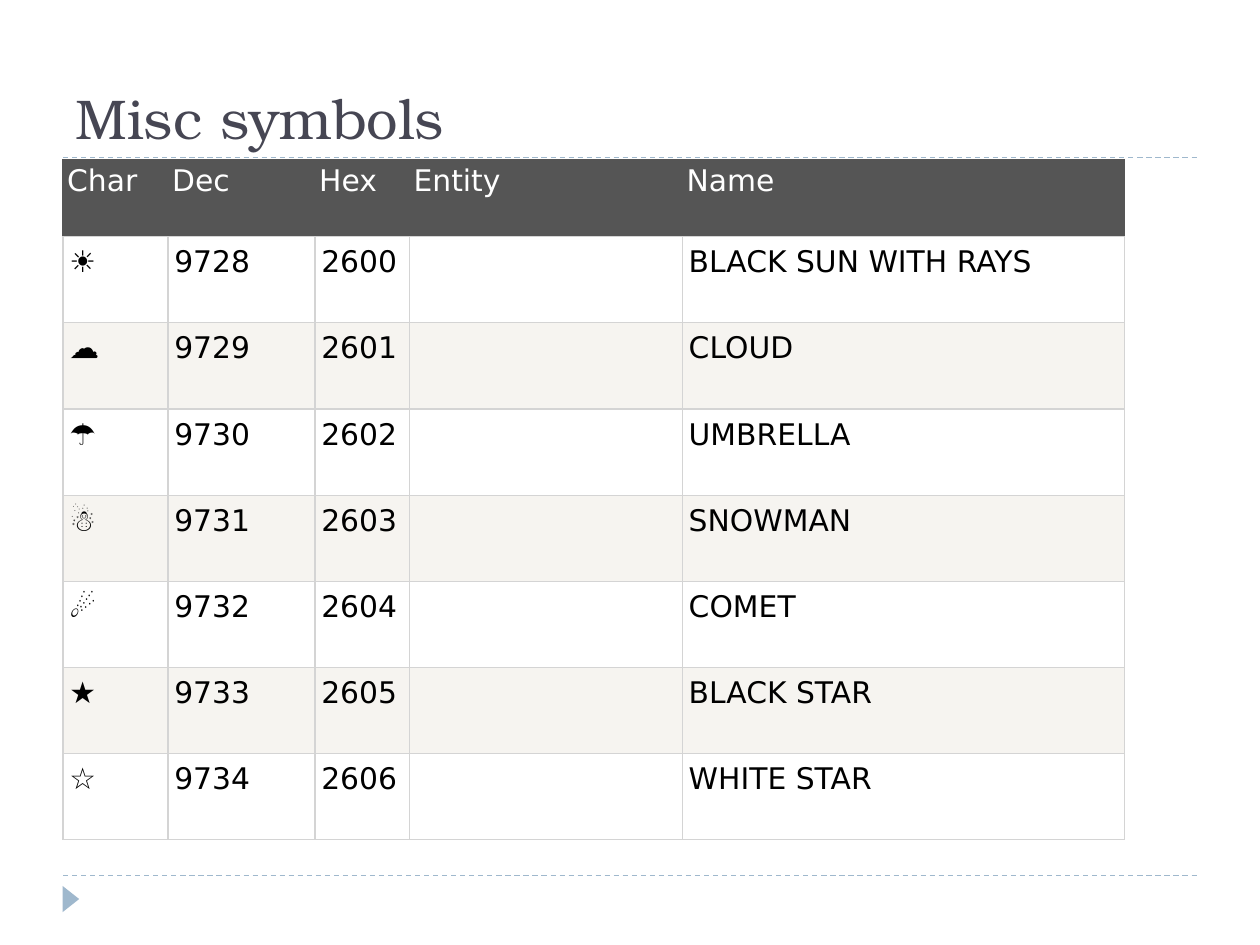
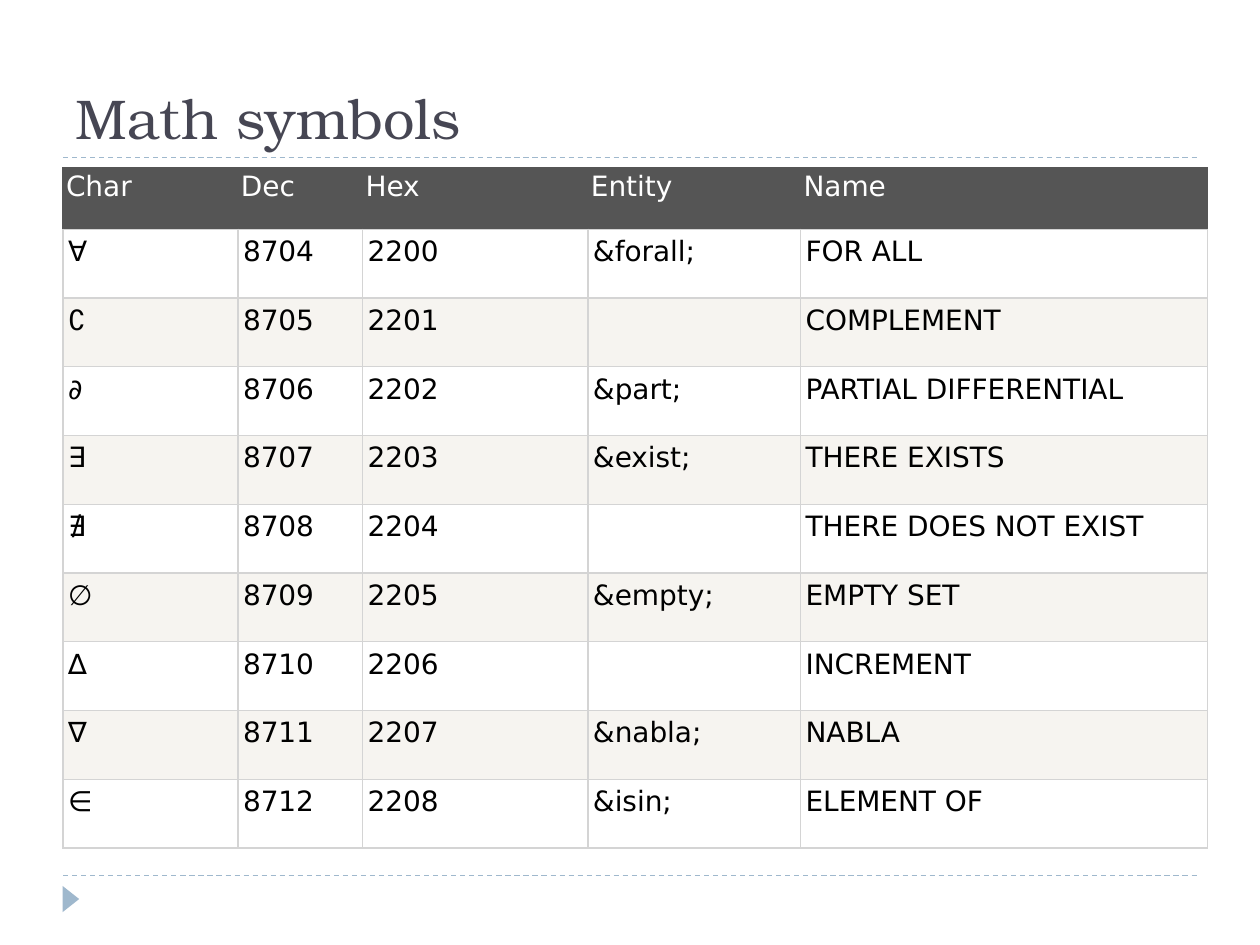
from lxml.etree import SubElement
from pptx import Presentation
from pptx.dml.color import RGBColor
from pptx.enum.dml import MSO_LINE
from pptx.enum.shapes import MSO_CONNECTOR, MSO_SHAPE
from pptx.enum.text import MSO_ANCHOR, MSO_AUTO_SIZE, PP_ALIGN
from pptx.oxml.ns import qn
from pptx.util import Pt

COLORS = {
    "title": "464653",
    "accent": "9FB8CD",
    "header": "555555",
    "header_text": "FFFFFF",
    "text": "000000",
    "row": "FFFFFF",
    "alternate_row": "F6F4F0",
    "grid": "D4D4D4",
}
TITLE_FONT = "TeX Gyre Bonum"
TABLE_FONT = "DejaVu Sans"
LEFT, CONTENT_WIDTH = 36, 648
HEADINGS = ("Char", "Dec", "Hex", "Entity", "Name")

# Each symbol is a character, its entity and its name
MISC_SYMBOLS = [
    ("☀", "", "BLACK SUN WITH RAYS"),
    ("☁", "", "CLOUD"),
    ("☂", "", "UMBRELLA"),
    ("☃", "", "SNOWMAN"),
    ("☄", "", "COMET"),
    ("★", "", "BLACK STAR"),
    ("☆", "", "WHITE STAR"),
]
MATH_SYMBOLS = [
    ("∀", "&forall;", "FOR ALL"),
    ("∁", "", "COMPLEMENT"),
    ("∂", "&part;", "PARTIAL DIFFERENTIAL"),
    ("∃", "&exist;", "THERE EXISTS"),
    ("∄", "", "THERE DOES NOT EXIST"),
    ("∅", "&empty;", "EMPTY SET"),
    ("∆", "", "INCREMENT"),
    ("∇", "&nabla;", "NABLA"),
    ("∈", "&isin;", "ELEMENT OF"),
]


def color(name):
    return RGBColor.from_string(COLORS[name])


def write_text(text_frame, text, *, font, size, color_name):
    paragraph = text_frame.paragraphs[0]
    paragraph.alignment = PP_ALIGN.LEFT
    run = paragraph.add_run()
    run.text = text
    run.font.name = font
    run.font.size = Pt(size)
    run.font.color.rgb = color(color_name)
    # Symbols use the East Asian font slot
    SubElement(run.font._element, qn("a:ea"), typeface=font)


def add_title(slide, text):
    title = slide.shapes.title
    title.left, title.top = Pt(LEFT), Pt(12)
    title.width, title.height = Pt(CONTENT_WIDTH), Pt(78)
    text_frame = title.text_frame
    text_frame.auto_size = MSO_AUTO_SIZE.NONE
    text_frame.vertical_anchor = MSO_ANCHOR.BOTTOM
    write_text(text_frame, text, font=TITLE_FONT, size=32, color_name="title")


def add_dashed_rule(slide, top):
    rule = slide.shapes.add_connector(
        MSO_CONNECTOR.STRAIGHT, Pt(LEFT), Pt(top), Pt(LEFT + CONTENT_WIDTH), Pt(top))
    rule.line.color.rgb = color("accent")
    rule.line.width = Pt(0.75)
    rule.line.dash_style = MSO_LINE.DASH
    SubElement(rule._element.spPr, qn("a:effectLst"))


def add_footer_marker(slide):
    marker = slide.shapes.add_shape(
        MSO_SHAPE.ISOSCELES_TRIANGLE, Pt(33), Pt(509), Pt(15), Pt(9.5))
    marker.rotation = 90
    marker.shadow.inherit = False
    marker.fill.solid()
    marker.fill.fore_color.rgb = color("accent")
    marker.line.fill.background()


def set_borders(cell, side_color):
    properties = cell._tc.get_or_add_tcPr()
    for side in "LRTB":
        line = SubElement(properties, qn(f"a:ln{side}"), w=str(Pt(0.75)))
        fill = SubElement(line, qn("a:solidFill"))
        name = "grid" if side == "B" else side_color
        SubElement(fill, qn("a:srgbClr"), val=COLORS[name])


def format_cell(cell, text, *, margins, fill, border, size, color_name):
    horizontal, vertical = margins
    cell.margin_left = cell.margin_right = Pt(horizontal)
    cell.margin_top = cell.margin_bottom = Pt(vertical)
    set_borders(cell, border)
    cell.fill.solid()
    cell.fill.fore_color.rgb = color(fill)
    if text:
        write_text(cell.text_frame, text, font=TABLE_FONT, size=size,
                   color_name=color_name)


def add_symbol_table(slide, symbols, *, top, widths, header_height, row_height,
                     size, header_margins, body_margins):
    rows = [HEADINGS] + [
        (character, str(ord(character)), f"{ord(character):04X}", entity, name)
        for character, entity, name in symbols]
    height = header_height + row_height * len(symbols)
    table = slide.shapes.add_table(
        len(rows), len(HEADINGS), Pt(LEFT), Pt(top), Pt(sum(widths)), Pt(height)).table
    for column, width in zip(table.columns, widths):
        column.width = Pt(width)
    for row_index, texts in enumerate(rows):
        is_header = row_index == 0
        table.rows[row_index].height = Pt(header_height if is_header else row_height)
        if is_header:
            style = dict(margins=header_margins, fill="header", border="header",
                         color_name="header_text")
        else:
            style = dict(margins=body_margins, border="grid", color_name="text",
                         fill="row" if row_index % 2 else "alternate_row")
        for column_index, text in enumerate(texts):
            format_cell(table.cell(row_index, column_index), text, size=size, **style)


def add_symbol_slide(presentation, title, symbols, **table_format):
    slide = presentation.slides.add_slide(presentation.slide_layouts[5])
    for top in (500.5, 90):
        add_dashed_rule(slide, top)
    add_footer_marker(slide)
    add_title(slide, title)
    add_symbol_table(slide, symbols, **table_format)


def main():
    presentation = Presentation()
    presentation.slide_width, presentation.slide_height = Pt(720), Pt(540)

    add_symbol_slide(
        presentation, "Misc symbols", MISC_SYMBOLS,
        top=91.25, widths=(60, 84, 54, 156, 252.5), header_height=44,
        row_height=49.25, size=17, header_margins=(2.4, 2.4), body_margins=(3.6, 4.8))
    add_symbol_slide(
        presentation, "Math symbols", MATH_SYMBOLS,
        top=95.75, widths=(100, 71.25, 128.75, 121.5, 232.5), header_height=35.25,
        row_height=39.3, size=16, header_margins=(1.75, 1.75), body_margins=(2.9, 3.75))

    presentation.save("out.pptx")


if __name__ == "__main__":
    main()
